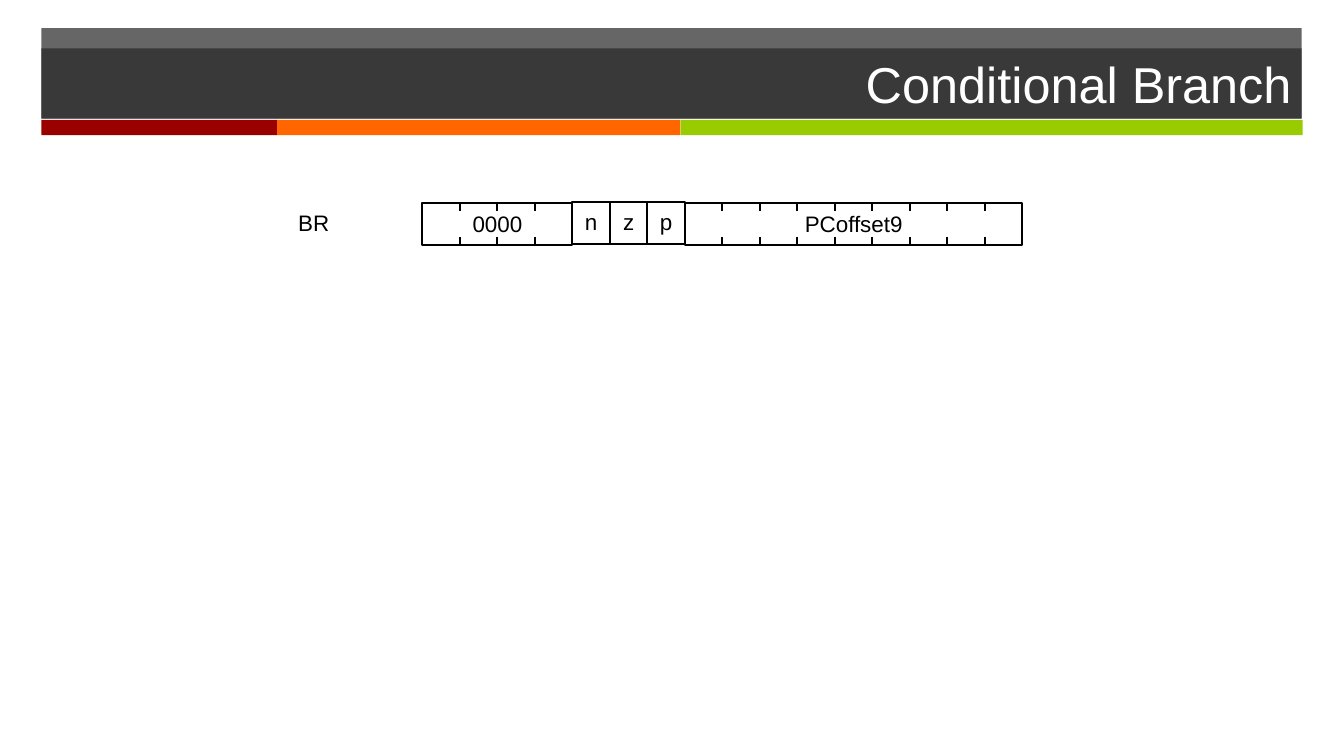
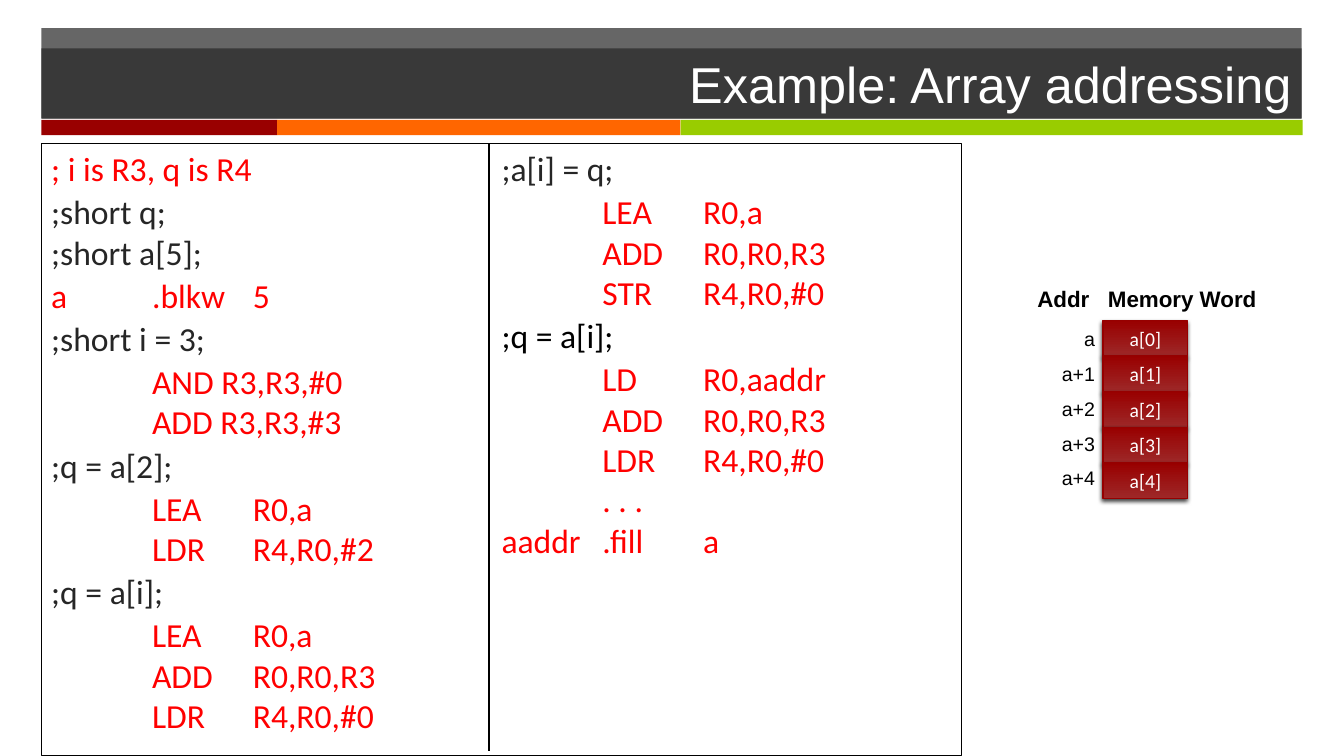
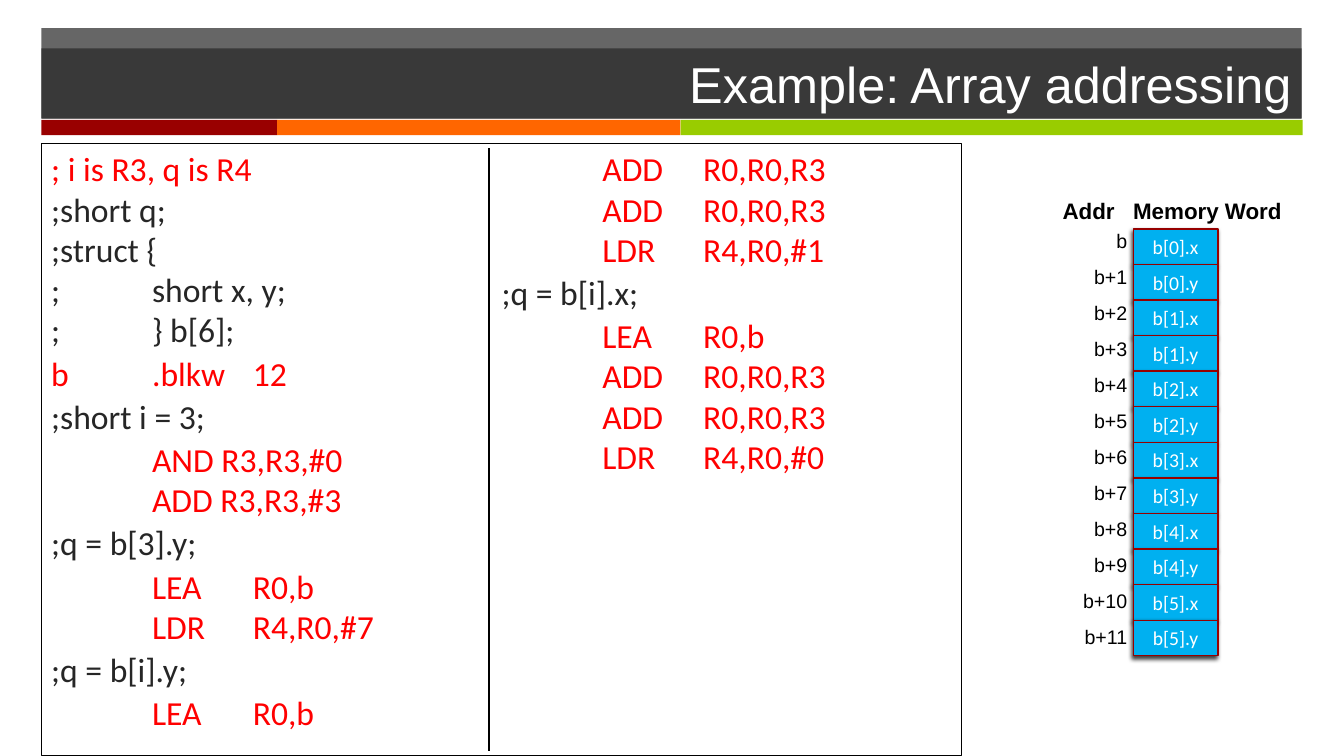
from lxml import etree
from pptx import Presentation
from pptx import util as u
from pptx.dml import color
from pptx.enum import shapes, text
from pptx.oxml import ns

COLORS = {
    "band": "262626",
    "crimson": "990000",
    "crimson_light": "9D2828",
    "crimson_edge": "960000",
    "orange": "FF6600",
    "green": "99CC00",
    "sky": "00B0F0",
    "code": "FF0000",
    "note": "262626",
    "black": "000000",
    "white": "FFFFFF",
}
EDGE = 0.41
BAND_WIDTH = 12.5
BITS_LEFT, BITS_TOP, BITS_HEIGHT = 4.19, 2.01, 0.42
BIT_WIDTH = 5.95 / 16
TICK = 0.08
CELL_WIDTH, CELL_STEP = 0.84, 0.353
LABEL_WIDTH, LABEL_HEIGHT = 0.76, 0.34

ARRAY_CODE = [
    [("code", "; i is R3, q is R4")],
    [("note", ";short q;\n;short a[5];")],
    [("code", "a\t.blkw\t5")],
    [("note", ";short i = 3;")],
    [("code", "\tAND R3,R3,#0\n\tADD R3,R3,#3")],
    [("note", ";q = a[2];")],
    [("code", "\tLEA\tR0,a\n\tLDR\tR4,R0,#2")],
    [("note", ";q = a[i];")],
    [("code", "\tLEA\tR0,a\n\tADD\tR0,R0,R3\n\tLDR\tR4,R0,#0")],
    [("note", ";a[i] = q;")],
    [("code", "\tLEA\tR0,a\n\tADD\tR0,R0,R3\n\tSTR\tR4,R0,#0")],
    [("black", ";q = a[i];")],
    [("code", "\tLD\tR0,aaddr\n\tADD\tR0,R0,R3\n\tLDR\tR4,R0,#0\n\t. . .\naaddr\t.fill\ta")],
]
STRUCT_CODE = [
    [("code", "; i is R3, q is R4\n"),
     ("note", ";short q;\n;struct {\n;\tshort x, y;\n;\t} b[6];")],
    [("code", "b\t.blkw\t12")],
    [("note", ";short i = 3;")],
    [("code", "\tAND R3,R3,#0\n\tADD R3,R3,#3")],
    [("note", ";q = b[3].y;")],
    [("code", "\tLEA\tR0,b\n\tLDR\tR4,R0,#7")],
    [("note", ";q = b[i].y;")],
    [("code", "\tLEA\tR0,b\n\tADD\tR0,R0,R3\n\tADD\tR0,R0,R3\n\tLDR\tR4,R0,#1")],
    [("note", ";q = b[i].x;")],
    [("code", "\tLEA\tR0,b\n\tADD\tR0,R0,R3\n\tADD\tR0,R0,R3\n\tLDR\tR4,R0,#0")],
]


def rgb(name):
    return color.RGBColor.from_string(COLORS[name])


def add_text(paragraph, content, size, tint, font="Arial", bold=False):
    for index, line in enumerate(content.split("\n")):
        if index:
            paragraph.add_line_break()
        if line:
            run = paragraph.add_run()
            run.text = line
            run.font.name = font
            run.font.size = u.Pt(size)
            run.font.bold = bold
            run.font.color.rgb = rgb(tint)


def set_tabs(paragraph, positions):
    stops = etree.SubElement(paragraph._p.get_or_add_pPr(), ns.qn("a:tabLst"))
    for position in positions:
        etree.SubElement(stops, ns.qn("a:tab"), pos=str(u.Inches(position)), algn="l")


def add_box(slide, left, top, width, height, fill=None, line=None, weight=1.5, opacity=None):
    box = slide.shapes.add_shape(shapes.MSO_SHAPE.RECTANGLE, u.Inches(left), u.Inches(top),
                                 u.Inches(width), u.Inches(height))
    box.shadow.inherit = False
    if fill:
        box.fill.solid()
        box.fill.fore_color.rgb = rgb(fill)
    else:
        box.fill.background()
    if opacity:
        tint = box.element.spPr.find(".//" + ns.qn("a:srgbClr"))
        etree.SubElement(tint, ns.qn("a:alpha"), val=str(opacity * 1000))
    if line:
        box.line.color.rgb = rgb(line)
        box.line.width = u.Pt(weight)
    else:
        box.line.fill.background()
    box.text_frame.word_wrap = True
    return box


def write_in(box, content, size, tint, align, anchor, font="Arial"):
    box.text_frame.vertical_anchor = anchor
    paragraph = box.text_frame.paragraphs[0]
    paragraph.alignment = align
    add_text(paragraph, content, size, tint, font)


def add_label(slide, left, top, width, height, content, size, align, bold=False, tabs=()):
    label = slide.shapes.add_textbox(u.Inches(left), u.Inches(top), u.Inches(width), u.Inches(height))
    label.text_frame.word_wrap = True
    paragraph = label.text_frame.paragraphs[0]
    paragraph.alignment = align
    if tabs:
        set_tabs(paragraph, tabs)
    add_text(paragraph, content, size, "black", bold=bold)


def add_vertical(slide, x, top, bottom, weight):
    line = slide.shapes.add_connector(shapes.MSO_CONNECTOR.STRAIGHT, u.Inches(x), u.Inches(top),
                                      u.Inches(x), u.Inches(bottom))
    line.line.color.rgb = rgb("black")
    line.line.width = u.Pt(weight)
    etree.SubElement(line.element.spPr, ns.qn("a:effectLst"))


def add_titled_slide(deck, title):
    slide = deck.slides.add_slide(deck.slide_layouts[6])
    add_box(slide, EDGE, 0.28, BAND_WIDTH, 0.89, "band", opacity=70)
    for left, width, fill in [(EDGE, 2.34, "crimson"), (2.75, 4, "orange"), (6.75, 6.17, "green")]:
        add_box(slide, left, 1.19, width, 0.15, fill)
    heading = add_box(slide, EDGE, 0.48, BAND_WIDTH, 0.7, "band", opacity=70)
    write_in(heading, title, 36, "white", text.PP_ALIGN.RIGHT, text.MSO_ANCHOR.MIDDLE)
    return slide


def add_field(slide, first_bit, bits, name):
    left = BITS_LEFT + first_bit * BIT_WIDTH
    top = BITS_TOP if bits > 1 else BITS_TOP - 0.01
    field = add_box(slide, left, top, bits * BIT_WIDTH, BITS_HEIGHT, line="black")
    field.text_frame.margin_top = u.Inches(0.07 if bits > 1 else 0.06)
    write_in(field, name, 16, "black", text.PP_ALIGN.CENTER, text.MSO_ANCHOR.TOP)
    bottom = top + BITS_HEIGHT
    for bit in range(1, bits):
        x = left + bit * BIT_WIDTH
        add_vertical(slide, x, top, top + TICK, 1.5)
        add_vertical(slide, x, bottom - TICK, bottom, 1.5)


def add_code(slide, listing, divider_top):
    panel = add_box(slide, EDGE, 1.42, 9.13, 6.08, line="black", weight=0.75)
    frame = panel.text_frame
    frame.vertical_anchor = text.MSO_ANCHOR.TOP
    panel.element.txBody.bodyPr.set("numCol", "2")
    for index, runs in enumerate(listing):
        paragraph = frame.add_paragraph() if index else frame.paragraphs[0]
        paragraph.alignment = text.PP_ALIGN.LEFT
        set_tabs(paragraph, [1, 2, 3])
        if index:
            paragraph.space_before = u.Pt(2)
        for tint, content in runs:
            add_text(paragraph, content, 24, tint, "Calibri")
    add_vertical(slide, 4.85, divider_top, 7.45, 1)


def add_cell_shadow(cell):
    effects = cell.element.spPr.find(ns.qn("a:effectLst"))
    shadow = etree.SubElement(effects, ns.qn("a:outerShdw"), blurRad=str(u.Pt(3)),
                              dist=str(u.Pt(2)), dir=str(110 * 60000), rotWithShape="0")
    tint = etree.SubElement(shadow, ns.qn("a:srgbClr"), val=COLORS["black"])
    etree.SubElement(tint, ns.qn("a:alpha"), val="75000")


def shade_crimson(cell):
    cell.fill.gradient()
    cell.fill.gradient_angle = 90
    for stop, tint in zip(cell.fill.gradient_stops, ["crimson_light", "crimson"]):
        stop.color.rgb = rgb(tint)


def add_memory(slide, array, words, left, top, fill, label_right, label_top, label_step,
               heading_left, heading_top):
    for row, word in enumerate(words):
        cell = add_box(slide, left, top + row * CELL_STEP, CELL_WIDTH, CELL_STEP,
                       fill, "crimson_edge", 1)
        if not fill:
            shade_crimson(cell)
        add_cell_shadow(cell)
        write_in(cell, word, 14, "white", text.PP_ALIGN.CENTER, text.MSO_ANCHOR.MIDDLE, "Calibri")
    for row in range(len(words)):
        address = f"{array}+{row}" if row else array
        add_label(slide, label_right - LABEL_WIDTH, label_top + row * label_step, LABEL_WIDTH,
                  LABEL_HEIGHT, address, 14, text.PP_ALIGN.RIGHT)
    add_label(slide, heading_left, heading_top, 2.48, 0.37, "Addr\tMemory Word", 16,
              text.PP_ALIGN.LEFT, bold=True, tabs=[0.7])


def main():
    deck = Presentation()
    deck.slide_width, deck.slide_height = u.Inches(13.33), u.Inches(7.5)

    branch = add_titled_slide(deck, "Conditional Branch")
    first_bit = 0
    for name, bits in [("0000", 4), ("n", 1), ("z", 1), ("p", 1), ("PCoffset9", 9)]:
        add_field(branch, first_bit, bits, name)
        first_bit += bits
    add_label(branch, 2.86, 2.03, 0.6, 0.37, "BR", 16, text.PP_ALIGN.LEFT)

    array = add_titled_slide(deck, "Example: Array addressing")
    add_code(array, ARRAY_CODE, 1.42)
    add_memory(array, "a", [f"a[{i}]" for i in range(5)], 10.94, 3.18, None,
               10.96, 3.19, 0.347, 10.19, 2.78)

    struct = add_titled_slide(deck, "Example: Array addressing")
    add_code(struct, STRUCT_CODE, 1.47)
    add_memory(struct, "b", [f"b[{i}].{member}" for i in range(6) for member in "xy"],
               11.24, 2.27, "sky", 11.28, 2.22, 0.357, 10.44, 1.91)

    deck.save("out.pptx")


if __name__ == "__main__":
    main()
